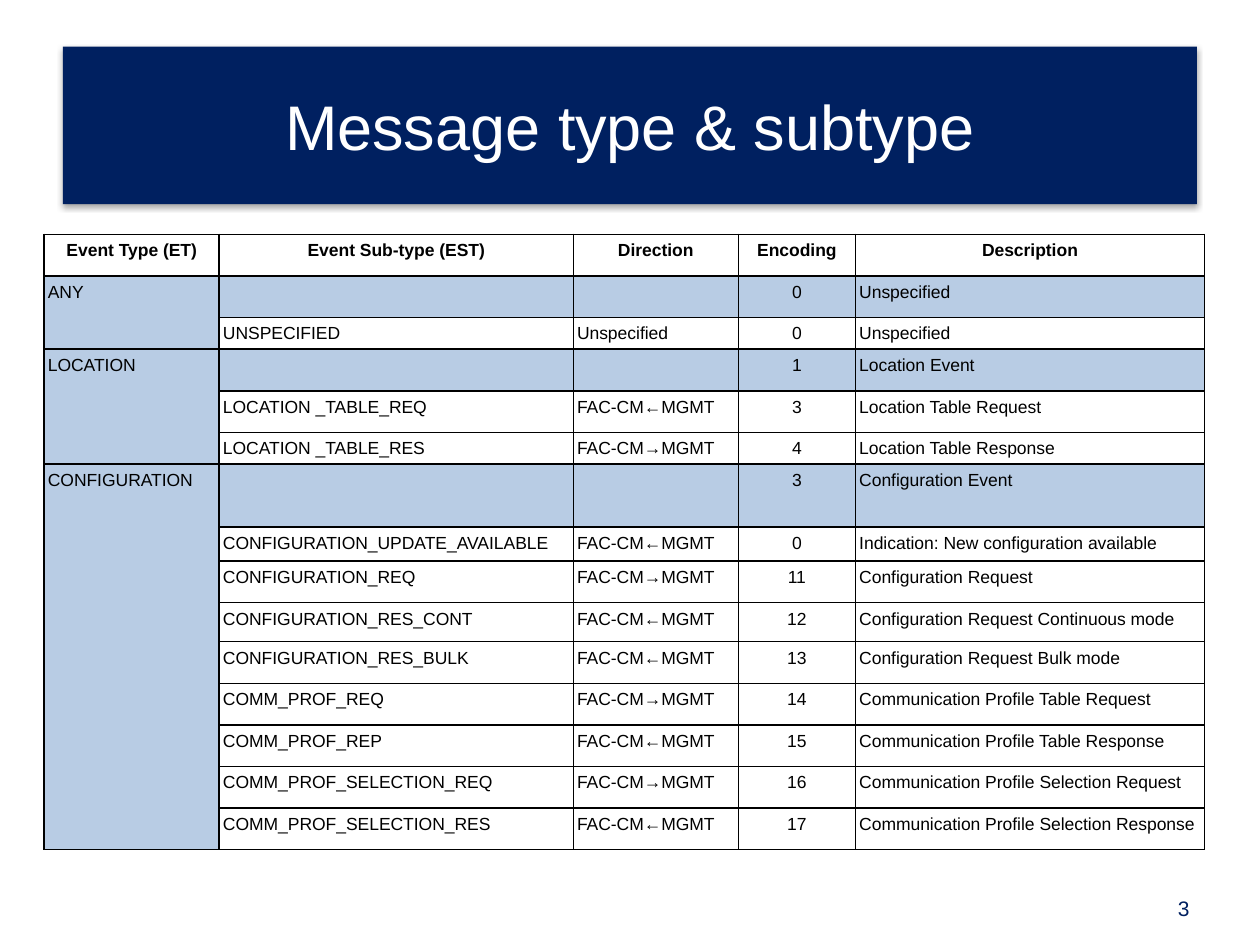
"""Build the slide that lists message types and subtypes."""
from dataclasses import dataclass

from lxml.etree import SubElement
from pptx import Presentation
from pptx.dml.color import RGBColor as RGB
from pptx.enum.shapes import MSO_SHAPE as SHAPE
from pptx.enum.text import MSO_ANCHOR as ANCHOR, PP_ALIGN as ALIGN
from pptx.oxml import parse_xml
from pptx.oxml.ns import nsdecls, qn
from pptx.util import Inches, Pt

COLORS = {"navy": "002060", "band": "B8CCE4", "white": "FFFFFF", "black": "000000"}
TO_FAC, TO_MGMT = "FAC-CM←MGMT", "FAC-CM→MGMT"
HEADERS = ("Event Type (ET)", "Event Sub-type (EST)", "Direction", "Encoding", "Description")
CENTERED_COLUMN = HEADERS.index("Encoding")
COLUMN_WIDTHS = (1.39, 2.81, 1.31, 0.93, 2.77)
ROW_HEIGHT = 0.33


@dataclass(frozen=True)
class Subtype:
    name: str
    direction: str
    encoding: int
    description: str
    height: float = ROW_HEIGHT


@dataclass(frozen=True)
class EventType:
    name: str
    encoding: int
    description: str
    subtypes: tuple[Subtype, ...]
    height: float = ROW_HEIGHT


EVENT_TYPES = (
    EventType("ANY", 0, "Unspecified", (
        Subtype("UNSPECIFIED", "Unspecified", 0, "Unspecified", 0.21),
    )),
    EventType("LOCATION", 1, "Location Event", (
        Subtype("LOCATION _TABLE_REQ", TO_FAC, 3, "Location Table Request"),
        Subtype("LOCATION _TABLE_RES", TO_MGMT, 4, "Location Table Response", 0.25),
    )),
    EventType("CONFIGURATION", 3, "Configuration Event", (
        Subtype("CONFIGURATION_UPDATE_AVAILABLE", TO_FAC, 0,
                "Indication: New configuration available", 0.27),
        Subtype("CONFIGURATION_REQ", TO_MGMT, 11, "Configuration Request"),
        Subtype("CONFIGURATION_RES_CONT", TO_FAC, 12,
                "Configuration Request Continuous mode", 0.31),
        Subtype("CONFIGURATION_RES_BULK", TO_FAC, 13, "Configuration Request Bulk mode"),
        Subtype("COMM_PROF_REQ", TO_MGMT, 14, "Communication Profile Table Request"),
        Subtype("COMM_PROF_REP", TO_FAC, 15, "Communication Profile Table Response"),
        Subtype("COMM_PROF_SELECTION_REQ", TO_MGMT, 16,
                "Communication Profile Selection Request"),
        Subtype("COMM_PROF_SELECTION_RES", TO_FAC, 17,
                "Communication Profile Selection Response"),
    ), 0.5),
)


def color(name: str) -> RGB:
    """Return a named colour."""
    return RGB.from_string(COLORS[name])


def write(p, text: str, size: float, ink: str, bold: bool = False) -> None:
    """Write one run, or size the paragraph when it is empty."""
    if not text:
        SubElement(p._p, qn("a:endParaRPr"), sz=str(int(size * 100)))
        return
    r = p.add_run()
    r.text = text
    for key, value in {"name": "Arial", "size": Pt(size), "bold": bold}.items():
        setattr(r.font, key, value)
    r.font.color.rgb = color(ink)


def add_title(s, text: str) -> None:
    """Draw the title banner with its soft shadow."""
    sp = s.shapes.add_shape(SHAPE.RECTANGLE, Inches(0.5), Inches(0.37), Inches(9), Inches(1.25))
    sp.fill.solid()
    sp.fill.fore_color.rgb = color("navy")
    sp.line.fill.background()
    sp._element.spPr.append(parse_xml(
        f'<a:effectLst {nsdecls("a")}><a:outerShdw blurRad="{Pt(3.1)}" dist="{Pt(1.8)}" '
        f'dir="5400000" rotWithShape="0"><a:srgbClr val="{COLORS["black"]}">'
        '<a:alpha val="35000"/></a:srgbClr></a:outerShdw></a:effectLst>'))
    tf = sp.text_frame
    tf.vertical_anchor = ANCHOR.MIDDLE
    p = tf.paragraphs[0]
    p.alignment = ALIGN.CENTER
    write(p, text, 36, "white")


def add_page_number(s, number: int) -> None:
    """Write the page number in the lower right corner."""
    sp = s.shapes.add_textbox(Inches(9.25), Inches(7.06), Inches(0.55), Inches(0.3))
    sp.text_frame.word_wrap = True
    write(sp.text_frame.paragraphs[0], str(number), 12, "navy")


def style_cell(cell, fill: str) -> None:
    """Set the margins, fill and borders of a cell."""
    for side in ("left", "right", "top", "bottom"):
        setattr(cell, f"margin_{side}", Inches(0.03))
    tcPr = cell._tc.get_or_add_tcPr()
    for edge in ("lnL", "lnR", "lnT", "lnB"):
        tcPr.append(parse_xml(
            f'<a:{edge} {nsdecls("a")} w="{Pt(1)}"><a:solidFill>'
            f'<a:srgbClr val="{COLORS["black"]}"/></a:solidFill></a:{edge}>'))
    cell.fill.solid()
    cell.fill.fore_color.rgb = color(fill)


def add_row(table, row: int, values: tuple, height: float,
            filled: tuple[int, ...] = (), header: bool = False) -> None:
    """Fill one table row."""
    table.rows[row].height = Inches(height)
    for column, value in enumerate(values):
        cell = table.cell(row, column)
        style_cell(cell, "band" if column in filled else "white")
        p = cell.text_frame.paragraphs[0]
        p.line_spacing = 1.15
        p.alignment = ALIGN.CENTER if header or column == CENTERED_COLUMN else ALIGN.LEFT
        write(p, str(value), 10, "black", header)


def add_event_table(s) -> None:
    """Draw the table of event types and their subtypes."""
    count = 1 + sum(1 + len(event.subtypes) for event in EVENT_TYPES)
    table = s.shapes.add_table(count, len(HEADERS), Inches(0.35), Inches(1.86),
                               Inches(sum(COLUMN_WIDTHS)), Inches(4.84)).table
    for column, width in zip(table.columns, COLUMN_WIDTHS):
        column.width = Inches(width)
    add_row(table, 0, HEADERS, ROW_HEIGHT, header=True)
    row = 1
    for event in EVENT_TYPES:
        first = row
        add_row(table, row, (event.name, "", "", event.encoding, event.description),
                event.height, filled=tuple(range(len(HEADERS))))
        for row, sub in enumerate(event.subtypes, first + 1):
            add_row(table, row, ("", sub.name, sub.direction, sub.encoding, sub.description),
                    sub.height, filled=(0,))
        table.cell(first, 0).merge(table.cell(row, 0))
        row += 1


def main() -> None:
    """Build and save the slide."""
    prs = Presentation()
    prs.slide_width, prs.slide_height = Inches(10), Inches(7.5)
    s = prs.slides.add_slide(prs.slide_layouts[6])
    add_page_number(s, 3)
    add_title(s, "Message type & subtype")
    add_event_table(s)
    prs.save("out.pptx")


if __name__ == "__main__":
    main()
